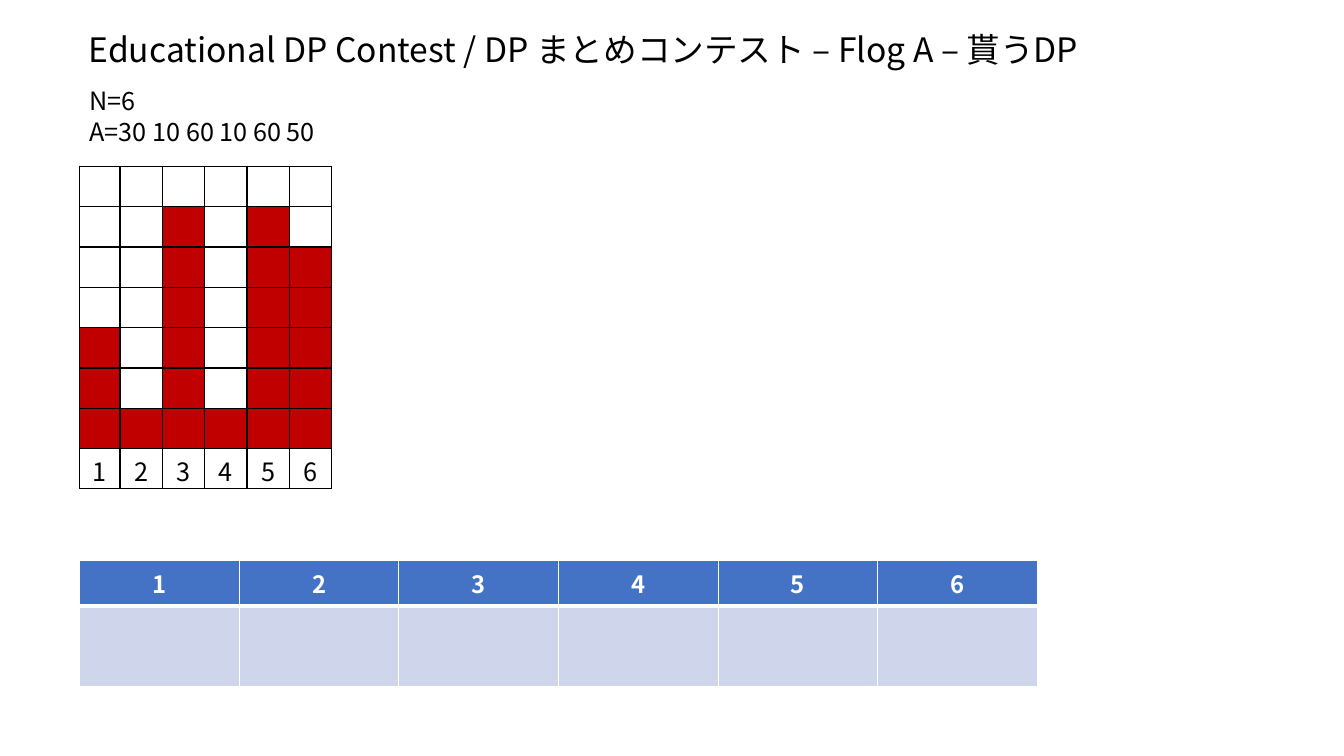
from lxml.etree import SubElement
from pptx import Presentation
from pptx.dml.color import RGBColor
from pptx.enum.text import MSO_ANCHOR as Anchor, MSO_AUTO_SIZE as AutoSize, PP_ALIGN as Align
from pptx.oxml.ns import qn
from pptx.util import Inches, Pt

COLOURS = {"black": "000000", "white": "FFFFFF", "bar": "C00000",
           "header": "4472C4", "band": "CFD5EA"}
FONT = "Noto Sans CJK JP"
HEIGHTS = [30, 10, 60, 10, 60, 50]
LEVELS = 7


def colour(name):
    return RGBColor.from_string(COLOURS[name])


def apply(target, values):
    for name, value in values.items():
        setattr(target, name, value)


def write_line(para, text, size, align=Align.LEFT, ink="black", bold=False, spacing=None):
    apply(para, {"alignment": align, "line_spacing": spacing})
    span = para.add_run()
    span.text = text
    apply(span.font, {"size": Pt(size), "bold": bold, "name": FONT})
    span.font.color.rgb = colour(ink)
    SubElement(span.font._element, qn("a:ea"), typeface=FONT)


def write_lines(shape, box, lines, size, anchor):
    apply(shape, dict(zip(("left", "top", "width", "height"), map(Inches, box))))
    frame = shape.text_frame
    apply(frame, {"word_wrap": True, "auto_size": AutoSize.NONE, "vertical_anchor": anchor})
    for index, line in enumerate(lines):
        para = frame.add_paragraph() if index else frame.paragraphs[0]
        write_line(para, line, size, spacing=Pt(size * 1.2))


def add_grid(page, box, widths, heights):
    table = page.shapes.add_table(len(heights), len(widths), *map(Inches, box)).table
    apply(table, {"first_row": False, "horz_banding": False})
    for column, width in zip(table.columns, widths):
        column.width = Inches(width)
    for row, height in zip(table.rows, heights):
        row.height = Inches(height)
    return table


def style_cell(cell, fill, edge, top=1, bottom=1):
    cell.fill.solid()
    cell.fill.fore_color.rgb = colour(fill)
    properties = cell._tc.get_or_add_tcPr()
    for index, (side, width) in enumerate(zip("LRTB", (1, 1, top, bottom))):
        line = SubElement(properties, qn(f"a:ln{side}"), w=str(Pt(width)))
        solid = SubElement(line, qn("a:solidFill"))
        SubElement(solid, qn("a:srgbClr"), val=COLOURS[edge])
        properties.insert(index, line)


def add_bar_grid(page, box):
    count = len(HEIGHTS)
    widths = [0.4] + [0.42] * (count - 1)
    table = add_grid(page, box, widths, [box[3] / (LEVELS + 1)] * (LEVELS + 1))
    for column, height in enumerate(HEIGHTS):
        for row in range(LEVELS + 1):
            cell = table.cell(row, column)
            filled = row < LEVELS and (LEVELS - row) * 10 <= height
            style_cell(cell, "bar" if filled else "white", "black")
            apply(cell, {"margin_top": 0, "margin_bottom": 0, "vertical_anchor": Anchor.BOTTOM})
        write_line(cell.text_frame.paragraphs[0], str(column + 1), 18, Align.CENTER)


def add_value_table(page, box):
    count = len(HEIGHTS)
    header_height = 0.45
    table = add_grid(page, box, [box[2] / count] * count,
                     [header_height, box[3] - header_height])
    table.first_row = True
    for column in range(count):
        header, value = table.cell(0, column), table.cell(1, column)
        style_cell(header, "header", "white", bottom=3)
        style_cell(value, "band", "white", top=3)
        write_line(header.text_frame.paragraphs[0], str(column + 1), 17,
                   Align.CENTER, "white", True)


def main():
    deck = Presentation()
    apply(deck, {"slide_width": Inches(13.33), "slide_height": Inches(7.5)})
    page = deck.slides.add_slide(deck.slide_layouts[5])
    write_lines(page.shapes.title, (0.78, 0.24, 10.97, 0.5),
                ["Educational DP Contest / DP まとめコンテスト – Flog A – 貰うDP"], 24, Anchor.MIDDLE)
    given = page.shapes.add_textbox(0, 0, 0, 0)
    write_lines(given, (0.79, 0.8, 4.72, 0.71),
                [f"N={len(HEIGHTS)}", "A=" + " ".join(map(str, HEIGHTS))], 18, Anchor.TOP)
    add_bar_grid(page, (0.79, 1.65, 2.5, 3.2))
    add_value_table(page, (0.79, 5.56, 9.5, 1.25))
    deck.save("out.pptx")


if __name__ == "__main__":
    main()
